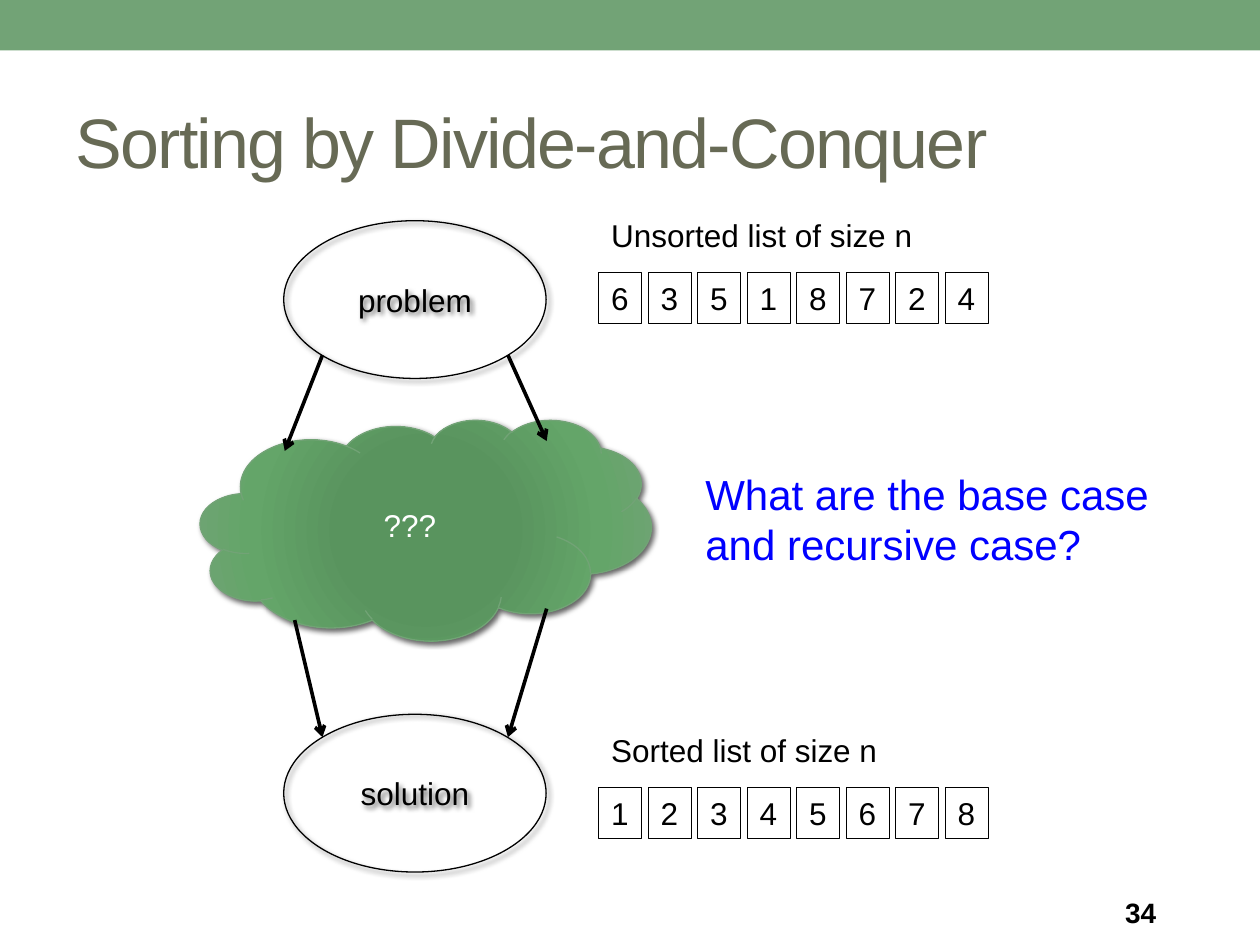
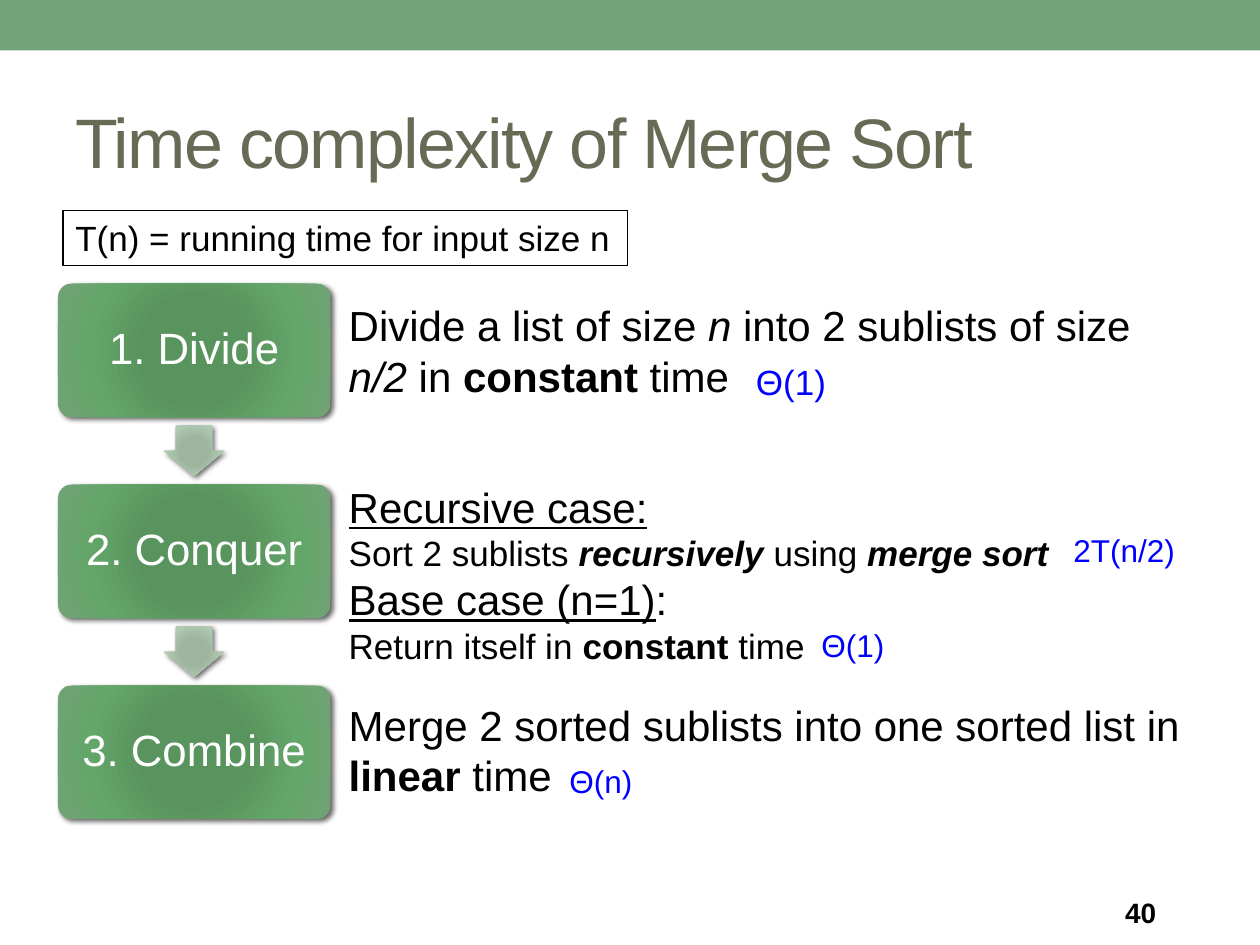
"""Build two slides on sorting by divide-and-conquer and merge sort."""
import pptx
import pptx.util
import pptx.dml.color
import pptx.enum.shapes
import pptx.enum.text
import pptx.oxml
import pptx.oxml.ns
from lxml import etree

Cm, Pt = pptx.util.Cm, pptx.util.Pt
RGB = pptx.dml.color.RGBColor.from_string
SHAPE = pptx.enum.shapes.MSO_SHAPE
ANCHOR = pptx.enum.text.MSO_ANCHOR
ALIGN = pptx.enum.text.PP_ALIGN
qn = pptx.oxml.ns.qn
NS = 'xmlns:a="http://schemas.openxmlformats.org/drawingml/2006/main"'

COLORS = {"band": "72A376", "title": "676A55", "ink": "000000", "note": "0000FF", "light": "FFFFFF"}
GREEN = {0: "57965C", 34: "59945E", 70: "64A569", 100: "72A376"}
PALE = {0: "9DB59E", 34: "9EB49F", 70: "B0C9B1", 100: "BCCEBD"}


def put(sp, text, size=18, color="ink", bold=False, align=ALIGN.LEFT, anchor=ANCHOR.TOP,
        wrap=True, spacing=None, tracking=None):
    """Write a string, or paragraphs of (size, [(run, style letters)])."""
    tf = sp.text_frame
    tf.word_wrap = wrap
    tf.auto_size = pptx.enum.text.MSO_AUTO_SIZE.NONE
    tf.vertical_anchor = anchor
    paragraphs = [(size, [(text, "b" if bold else "")])] if isinstance(text, str) else text
    for i, (points, runs) in enumerate(paragraphs):
        p = tf.add_paragraph() if i else tf.paragraphs[0]
        p.alignment = align
        p.line_spacing = spacing
        for words, style in runs:
            r = p.add_run()
            r.text = words
            r.font.name, r.font.size = "Arial", Pt(points)
            r.font.color.rgb = RGB(COLORS[color])
            r.font.bold, r.font.italic, r.font.underline = ("b" in style, "i" in style, "u" in style)
            if tracking:
                r.font._element.set("spc", str(tracking))


def draw(s, kind, box, fill=None, line=None, shadow=False):
    """Add a preset shape with a solid, gradient or empty fill."""
    sp = s.shapes.add_shape(kind, *map(Cm, box))
    sp.shadow.inherit = False
    if isinstance(fill, str):
        sp.fill.solid()
        sp.fill.fore_color.rgb = RGB(COLORS[fill])
    else:
        sp.fill.background()
    if line:
        sp.line.color.rgb = RGB(COLORS[line])
        sp.line.width = Pt(0.75)
    else:
        sp.line.fill.background()
    pr = sp._element.spPr
    if isinstance(fill, dict):
        stops = "".join(f'<a:gs pos="{pos * 1000}"><a:srgbClr val="{c}"/></a:gs>' for pos, c in fill.items())
        pr.replace(pr.find(qn("a:noFill")), pptx.oxml.parse_xml(
            f'<a:gradFill {NS} rotWithShape="1"><a:gsLst>{stops}</a:gsLst><a:path path="circle">'
            '<a:fillToRect l="100000" t="100000" r="100000" b="100000"/></a:path></a:gradFill>'))
    if shadow:
        pr.find(qn("a:effectLst")).append(pptx.oxml.parse_xml(
            f'<a:outerShdw {NS} blurRad="38100" dist="25400" dir="2700000" rotWithShape="0">'
            '<a:srgbClr val="000000"><a:alpha val="60000"/></a:srgbClr></a:outerShdw>'))
    return sp


prs = pptx.Presentation()
prs.slide_width, prs.slide_height = Cm(25.4), Cm(19.05)

slides = []
for title, number in (("Sorting by Divide-and-Conquer", "34"), ("Time complexity of Merge Sort", "40")):
    s = prs.slides.add_slide(prs.slide_layouts[5])
    draw(s, SHAPE.RECTANGLE, (0, 0, 25.4, 1.02), fill="band")
    sp = s.shapes.title
    sp.left, sp.top, sp.width, sp.height = map(Cm, (1.27, 1.47, 22.86, 2.74))
    put(sp, title, size=40, color="title", anchor=ANCHOR.MIDDLE, tracking=-100)
    sp = s.shapes.add_textbox(*map(Cm, (22.43, 17.93, 2.97, 0.91)))
    put(sp, number, size=16, bold=True, anchor=ANCHOR.MIDDLE)
    slides.append(s)
sorting, complexity = slides

for name, top in (("problem", 4.45), ("solution", 14.4)):
    sp = draw(sorting, SHAPE.OVAL, (5.72, top, 5.29, 3.18), line="ink", shadow=True)
    put(sp, name, align=ALIGN.CENTER, anchor=ANCHOR.MIDDLE)

for caption, top, digits in (("Unsorted list of size n", 4.23, "63518724"),
                             ("Sorted list of size n", 14.61, "12345678")):
    sp = sorting.shapes.add_textbox(*map(Cm, (12.07, top, 6.65, 1.03)))
    put(sp, caption)
    for i, digit in enumerate(digits):
        sp = draw(sorting, SHAPE.RECTANGLE, (12.07 + i * 0.998, top + 1.27, 0.87, 1.03), line="ink")
        put(sp, digit, wrap=False)

cloud = draw(sorting, SHAPE.CLOUD, (4.04, 8.46, 9.09, 4.45), fill=GREEN, line="band", shadow=True)
put(cloud, "???", color="light", align=ALIGN.CENTER, anchor=ANCHOR.MIDDLE)

for ends in ((6.5, 7.16, 5.74, 9.09), (10.24, 7.16, 11.02, 8.89),
             (5.94, 12.5, 6.5, 14.86), (11.02, 12.27, 10.24, 14.86)):
    arrow = sorting.shapes.add_connector(pptx.enum.shapes.MSO_CONNECTOR.STRAIGHT, *map(Cm, ends))
    arrow.line.color.rgb = RGB(COLORS["ink"])
    arrow.line.width = Pt(2.08)
    etree.SubElement(arrow.line._get_or_add_ln(), qn("a:tailEnd"), type="arrow")
    etree.SubElement(arrow._element.spPr, qn("a:effectLst"))

sp = sorting.shapes.add_textbox(*map(Cm, (13.97, 9.32, 9.73, 2.31)))
put(sp, "What are the base case and recursive case?", size=24, color="note")

sp = draw(complexity, SHAPE.RECTANGLE, (1.27, 4.24, 11.38, 1.12), line="ink")
put(sp, "T(n) = running time for input size n", size=20, wrap=False)

steps = [
    ("1. Divide", (6.78, 5.92, 17.15, 3.33), [
        (24, [("Divide a list of size ", ""), ("n", "i"), (" into 2 sublists of size ", ""),
              ("n/2", "i"), (" in ", ""), ("constant ", "b"), ("time", "")])]),
    ("2. Conquer", (6.78, 9.58, 18.5, 4.01), [
        (24, [("Recursive case:", "u")]),
        (20, [("Sort 2 sublists ", ""), ("recursively ", "bi"), ("using ", ""), ("merge sort", "bi")]),
        (24, [("Base case (n=1)", "u"), (":", "")]),
        (20, [("Return itself in ", ""), ("constant", "b"), (" time", "")])]),
    ("3. Combine", (6.78, 13.97, 17.98, 2.31), [
        (24, [("Merge 2 sorted sublists into one sorted list in ", ""), ("linear", "b"), (" time", "")])]),
]
for i, (name, box, details) in enumerate(steps):
    top = 5.72 + i * 4.05
    sp = draw(complexity, SHAPE.ROUNDED_RECTANGLE, (1.17, top, 5.49, 2.69), fill=GREEN, shadow=True)
    sp.adjustments[0] = 0.1
    put(sp, name, size=25, color="light", align=ALIGN.CENTER, anchor=ANCHOR.MIDDLE, spacing=0.9)
    if i < len(steps) - 1:
        arrow = draw(complexity, SHAPE.RIGHT_ARROW, (3.4, top + 2.76, 1.02, 1.22), fill=PALE, shadow=True)
        arrow.rotation = 90
        arrow.adjustments[0], arrow.adjustments[1] = 0.6, 0.5
    sp = complexity.shapes.add_textbox(*map(Cm, box))
    put(sp, details)

for cost, size, box in (("Θ(1)", 20, (14.99, 7.14, 1.93, 1.12)), ("2T(n/2)", 18, (21.39, 10.59, 2.59, 1.02)),
                        ("Θ(1)", 18, (16.31, 12.5, 1.8, 1.02)), ("Θ(n)", 18, (11.23, 15.24, 1.8, 1.02))):
    sp = complexity.shapes.add_textbox(*map(Cm, box))
    put(sp, cost, size=size, color="note", wrap=False)

prs.save("out.pptx")
